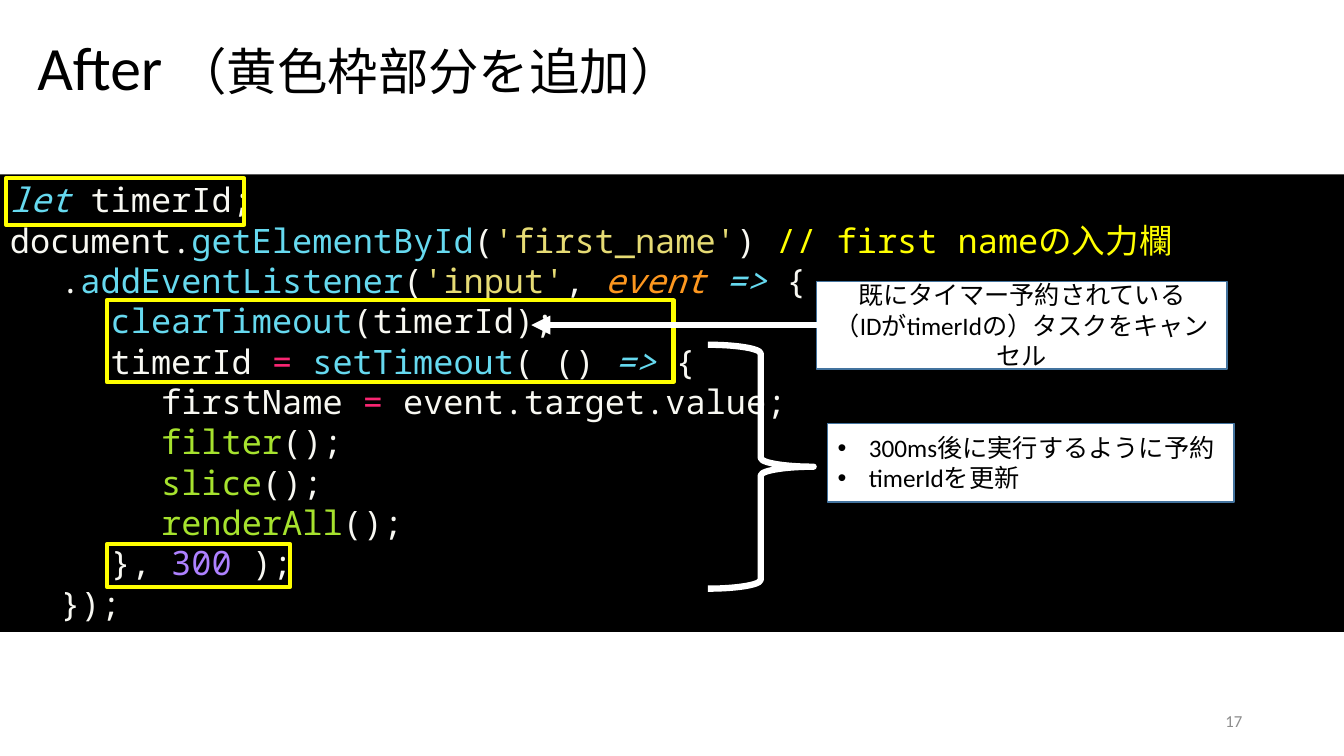
import pptx
import pptx.dml.color
import pptx.enum.shapes
import pptx.enum.text
import pptx.oxml.ns
import pptx.util
from lxml import etree

Inches = pptx.util.Inches
Pt = pptx.util.Pt
RGBColor = pptx.dml.color.RGBColor
SHAPE = pptx.enum.shapes.MSO_SHAPE
ALIGN = pptx.enum.text.PP_ALIGN
ANCHOR = pptx.enum.text.MSO_ANCHOR
qn = pptx.oxml.ns.qn

BLACK = RGBColor(0x00, 0x00, 0x00)
WHITE = RGBColor(0xFF, 0xFF, 0xFF)
YELLOW = RGBColor(0xFF, 0xFF, 0x00)
BORDER_BLUE = RGBColor(0x43, 0x73, 0x9E)
NUMBER_GRAY = RGBColor(0x8C, 0x8C, 0x8C)
CODE_WHITE = RGBColor(0xF8, 0xF8, 0xF2)
CODE_CYAN = RGBColor(0x66, 0xD9, 0xEF)
CODE_SAND = RGBColor(0xE6, 0xDB, 0x74)
CODE_ORANGE = RGBColor(0xFD, 0x97, 0x1F)
CODE_PINK = RGBColor(0xF9, 0x26, 0x72)
CODE_GREEN = RGBColor(0xA6, 0xE2, 0x2E)
CODE_PURPLE = RGBColor(0xAE, 0x81, 0xFF)

PLAIN = (CODE_WHITE, False)
KEYWORD = (CODE_CYAN, True)
METHOD = (CODE_CYAN, False)
STRING = (CODE_SAND, False)
COMMENT = (YELLOW, False)
PARAMETER = (CODE_ORANGE, True)
OPERATOR = (CODE_PINK, False)
FUNCTION = (CODE_GREEN, False)
NUMBER = (CODE_PURPLE, False)

CODE_LINES = [
    (0, [("let ", KEYWORD), ("timerId;", PLAIN)]),
    (0, [("document.", PLAIN), ("getElementById", METHOD), ("(", PLAIN),
         ("'first_name'", STRING), (") ", PLAIN), ("// first nameの入力欄", COMMENT)]),
    (1, [(".", PLAIN), ("addEventListener", METHOD), ("(", PLAIN), ("'input'", STRING),
         (", ", PLAIN), ("event ", PARAMETER), ("=>", KEYWORD), (" {", PLAIN)]),
    (2, [("clearTimeout", METHOD), ("(timerId);", PLAIN)]),
    (2, [("timerId ", PLAIN), ("= ", OPERATOR), ("setTimeout", METHOD),
         ("( () ", PLAIN), ("=>", KEYWORD), (" {", PLAIN)]),
    (3, [("firstName ", PLAIN), ("= ", OPERATOR), ("event.target.value;", PLAIN)]),
    (3, [("filter", FUNCTION), ("();", PLAIN)]),
    (3, [("slice", FUNCTION), ("();", PLAIN)]),
    (3, [("renderAll", FUNCTION), ("();", PLAIN)]),
    (2, [("}, ", PLAIN), ("300 ", NUMBER), (");", PLAIN)]),
    (1, [("});", PLAIN)]),
]
HIGHLIGHTS = [(0.06, 0.04, 2.36, 0.46), (1.06, 1.25, 5.62, 0.81), (1.06, 3.67, 1.82, 0.42)]


def format_run(run, size, color, font="Calibri", italic=False):
    run.font.name = font
    run.font.size = Pt(size)
    run.font.color.rgb = color
    run.font.italic = italic


def add_box(shapes, preset, box, fill=None, line=None, line_width=1):
    shape = shapes.add_shape(preset, *map(Inches, box))
    shape.shadow.inherit = False
    if fill is None:
        shape.fill.background()
    else:
        shape.fill.solid()
        shape.fill.fore_color.rgb = fill
    if line is None:
        shape.line.fill.background()
    else:
        shape.line.color.rgb = line
        shape.line.width = Pt(line_width)
    return shape


def add_title(slide, box):
    title = slide.shapes.title
    title.left, title.top, title.width, title.height = map(Inches, box)
    title.text_frame.vertical_anchor = ANCHOR.MIDDLE
    paragraph = title.text_frame.paragraphs[0]
    paragraph.alignment = ALIGN.LEFT
    paragraph.line_spacing = 0.9
    for text, size in (("After ", 44), ("（黄色枠部分を追加）", 36)):
        run = paragraph.add_run()
        run.text = text
        format_run(run, size, BLACK)


def add_code_panel(slide, box):
    panel = add_box(slide.shapes, SHAPE.RECTANGLE, box, fill=BLACK)
    frame = panel.text_frame
    frame.word_wrap = True
    frame.vertical_anchor = ANCHOR.TOP
    frame.auto_size = pptx.enum.text.MSO_AUTO_SIZE.SHAPE_TO_FIT_TEXT
    for index, (level, tokens) in enumerate(CODE_LINES):
        paragraph = frame.add_paragraph() if index else frame.paragraphs[0]
        paragraph.alignment = ALIGN.LEFT
        paragraph.level = level
        paragraph._p.get_or_add_pPr().set("marL", str(Inches(0.5 * level)))
        for text, (color, italic) in tokens:
            run = paragraph.add_run()
            run.text = text
            format_run(run, 24, color, "Noto Sans Mono", italic)
    left, top = box[:2]
    for x, y, width, height in HIGHLIGHTS:
        add_box(slide.shapes, SHAPE.RECTANGLE, (left + x, top + y, width, height),
                line=YELLOW, line_width=3)


def add_callout(shapes, box, lines, alignment, bulleted=False):
    callout = add_box(shapes, SHAPE.RECTANGLE, box, WHITE, BORDER_BLUE)
    frame = callout.text_frame
    frame.word_wrap = True
    frame.vertical_anchor = ANCHOR.MIDDLE
    for index, line in enumerate(lines):
        paragraph = frame.add_paragraph() if index else frame.paragraphs[0]
        paragraph.text = line
        paragraph.alignment = alignment
        for run in paragraph.runs:
            format_run(run, 18, BLACK)
        if bulleted:
            properties = paragraph._p.get_or_add_pPr()
            properties.set("marL", str(Inches(0.31)))
            properties.set("indent", str(Inches(-0.31)))
            etree.SubElement(properties, qn("a:buFont")).set("typeface", "Arial")
            etree.SubElement(properties, qn("a:buChar")).set("char", "•")
    return callout


def add_cancel_note(slide, box, arrow_tip):
    group = slide.shapes.add_group_shape()
    callout = add_callout(group.shapes, box,
                          ["既にタイマー予約されている\n（IDがtimerIdの）タスクをキャンセル"],
                          ALIGN.CENTER)
    left, top, _, height = box
    middle = Inches(top + height / 2)
    arrow = group.shapes.add_connector(pptx.enum.shapes.MSO_CONNECTOR.STRAIGHT,
                                       Inches(left), middle, Inches(arrow_tip), middle)
    arrow.begin_connect(callout, 1)
    arrow.line.color.rgb = WHITE
    arrow.line.width = Pt(4.5)
    etree.SubElement(arrow.line._get_or_add_ln(), qn("a:tailEnd")).set("type", "triangle")
    etree.SubElement(arrow._element.spPr, qn("a:effectLst"))


def add_schedule_note(slide, box, brace_box):
    add_callout(slide.shapes, box, ["300ms後に実行するように予約", "timerIdを更新"],
                ALIGN.LEFT, bulleted=True)
    add_box(slide.shapes, SHAPE.RIGHT_BRACE, brace_box, line=WHITE, line_width=4.5)


def add_slide_number(slide, box, number):
    frame = slide.shapes.add_textbox(*map(Inches, box)).text_frame
    frame.word_wrap = True
    frame.vertical_anchor = ANCHOR.MIDDLE
    frame.text = number
    paragraph = frame.paragraphs[0]
    paragraph.alignment = ALIGN.RIGHT
    format_run(paragraph.runs[0], 12, NUMBER_GRAY)


def main():
    presentation = pptx.Presentation()
    presentation.slide_width = Inches(13.33)
    presentation.slide_height = Inches(7.5)
    slide = presentation.slides.add_slide(presentation.slide_layouts[5])
    add_title(slide, (0.27, 0.17, 12.79, 1.05))
    add_code_panel(slide, (0, 1.73, 13.33, 4.54))
    add_schedule_note(slide, (8.21, 4.2, 4.03, 0.78), (7.02, 3.42, 1.05, 2.42))
    add_cancel_note(slide, (8.1, 2.79, 4.07, 0.87), 5.27)
    add_slide_number(slide, (9.42, 6.95, 3, 0.4), "17")
    presentation.save("out.pptx")


if __name__ == "__main__":
    main()
